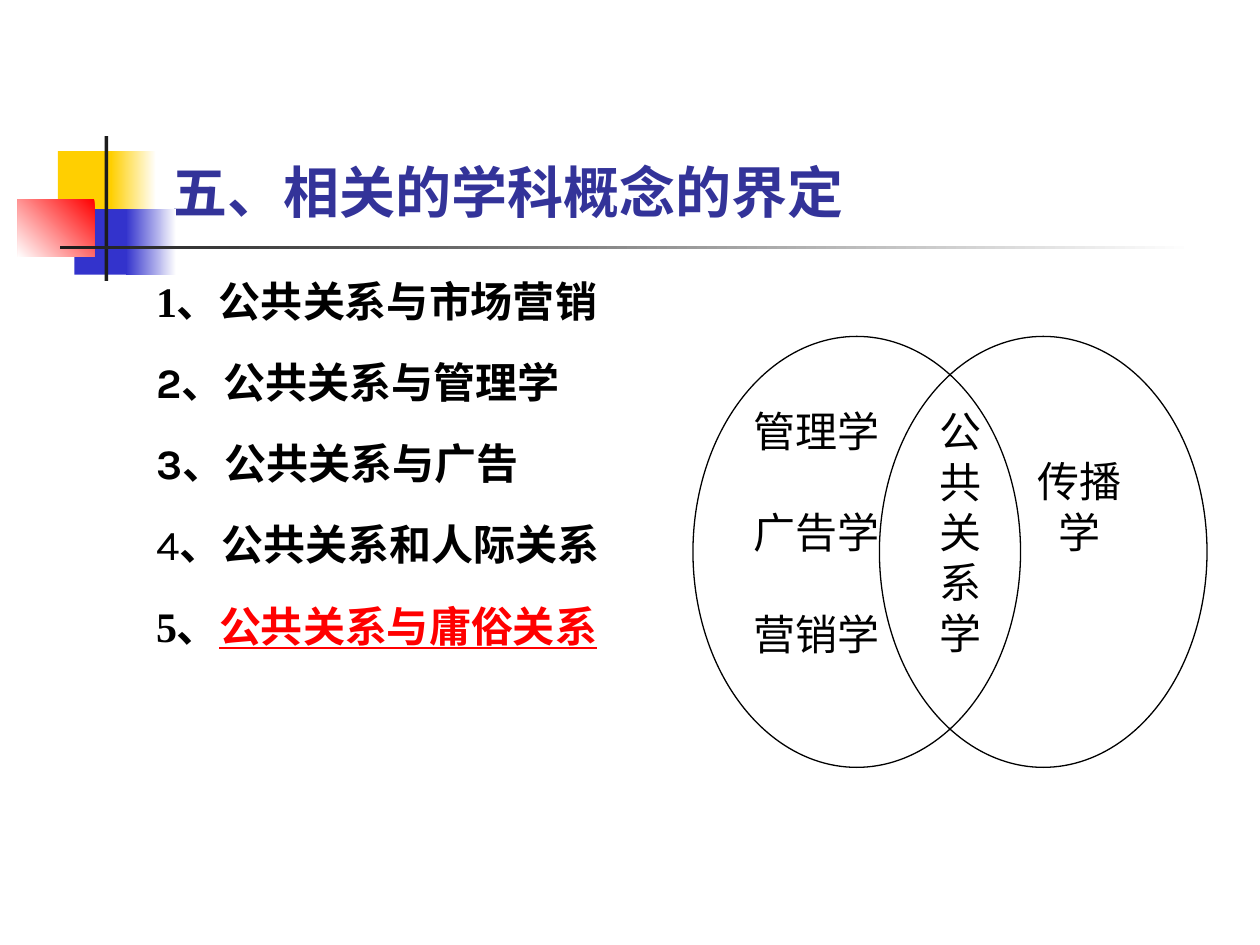
import pptx
import pptx.dml.color
import pptx.enum.shapes
import pptx.enum.text
import pptx.util

Inches = pptx.util.Inches
Pt = pptx.util.Pt
SHAPE = pptx.enum.shapes.MSO_SHAPE
ALIGN = pptx.enum.text.PP_ALIGN
ANCHOR = pptx.enum.text.MSO_ANCHOR
SERIF = "Times New Roman"
DIGIT = "Karla"

BLOCKS = [
    ((0.46, 1.2, 0.48, 0.52), ["FFCF01"], 0),
    ((0.88, 1.2, 0.36, 0.52), ["FFFFFF", "FFCF01"], 180),
    ((0.59, 1.66, 0.46, 0.52), ["3333CC"], 0),
    ((1, 1.66, 0.4, 0.52), ["FFFFFF", "3333CC"], 180),
    ((0.14, 1.58, 0.61, 0.46), ["FF0000", "FFFFFF"], 225),
    ((0.83, 1.08, 0.03, 1.15), ["1C1C1C"], 0),
    ((0.48, 1.95, 9, 0.03), ["FFFFFF", "1C1C1C"], 180),
]

TOPICS = [
    [("1、公共关系与市场营销", {})],
    [("2", {"font": DIGIT}), ("、公共关系与管理学", {})],
    [("3", {"font": DIGIT}), ("、公共关系与广告", {})],
    [("4", {"font": DIGIT, "bold": False}), ("、公共关系和人际关系", {})],
    [("5、", {}), ("公共关系与庸俗关系", {"color": "FF0000", "underline": True})],
]


def rgb(value):
    """Return the colour for a hex string."""
    return pptx.dml.color.RGBColor.from_string(value)


def add_run(p, text, size=24, font=SERIF, color="000000", bold=False, underline=None):
    """Add formatted text to a paragraph."""
    r = p.add_run()
    r.text = text
    r.font.size = Pt(size)
    r.font.name = font
    r.font.bold = bold
    r.font.underline = underline
    r.font.color.rgb = rgb(color)


def next_paragraph(tf, i, align, gap=0):
    """Return paragraph i of a frame, spaced from the one before it."""
    p = tf.add_paragraph() if i else tf.paragraphs[0]
    p.alignment = align
    p.space_before = Pt(gap if i else 0)
    return p


def add_lines(tf, lines, align=ALIGN.JUSTIFY, gap=0):
    """Write plain lines from the top of a frame."""
    tf.word_wrap = True
    tf.vertical_anchor = ANCHOR.TOP
    for i, line in enumerate(lines):
        add_run(next_paragraph(tf, i, align, gap), line)


def add_block(s, box, colors, angle):
    """Add a borderless rectangle with a solid or gradient fill."""
    sp = s.shapes.add_shape(SHAPE.RECTANGLE, *map(Inches, box))
    sp.shadow.inherit = False
    sp.line.fill.background()
    if len(colors) == 1:
        sp.fill.solid()
        sp.fill.fore_color.rgb = rgb(colors[0])
        return
    sp.fill.gradient()
    sp.fill.gradient_angle = angle
    for stop, color in zip(sp.fill.gradient_stops, colors):
        stop.color.rgb = rgb(color)


def add_title(s, text):
    """Place and fill the title placeholder."""
    sp = s.shapes.title
    sp.left, sp.top, sp.width, sp.height = map(Inches, (1.26, 0.23, 8.52, 1.6))
    tf = sp.text_frame
    tf.auto_size = pptx.enum.text.MSO_AUTO_SIZE.NONE
    tf.vertical_anchor = ANCHOR.BOTTOM
    p = next_paragraph(tf, 0, ALIGN.LEFT)
    add_run(p, text, size=32, color="333399", bold=True)


def add_topics(s, topics):
    """Add the numbered topics with a hanging indent."""
    tf = s.shapes.add_textbox(*map(Inches, (1.14, 1.98, 3.77, 4.92))).text_frame
    tf.word_wrap = True
    for i, runs in enumerate(topics):
        p = next_paragraph(tf, i, ALIGN.JUSTIFY, gap=6)
        p.line_spacing = 1.4
        pPr = p._p.get_or_add_pPr()
        pPr.set("marL", str(Inches(0.38)))
        pPr.set("indent", str(-Inches(0.38)))
        for text, style in runs:
            add_run(p, text, **{"bold": True, **style})


def add_circle(s, left, lines, fill=None, gap=0):
    """Add one outlined ellipse of the Venn diagram."""
    sp = s.shapes.add_shape(SHAPE.OVAL, *map(Inches, (left, 2.67, 2.6, 3.42)))
    sp.shadow.inherit = False
    if fill:
        sp.fill.solid()
        sp.fill.fore_color.rgb = rgb(fill)
    else:
        sp.fill.background()
    sp.line.color.rgb = rgb("000000")
    sp.line.width = Pt(0.75)
    add_lines(sp.text_frame, lines, gap=gap)


def main():
    """Build the slide and save it."""
    prs = pptx.Presentation()
    prs.slide_width, prs.slide_height = Inches(10), Inches(7.5)
    s = prs.slides.add_slide(prs.slide_layouts[5])
    for box, colors, angle in BLOCKS:
        add_block(s, box, colors, angle)
    add_title(s, "五、相关的学科概念的界定")
    add_topics(s, TOPICS)
    add_circle(s, 6.98, "公共关系学", fill="FFFFFF")
    add_circle(s, 5.5, ["管理学", "广告学", "营销学"], gap=29)
    label = s.shapes.add_textbox(*map(Inches, (8.07, 3.57, 1, 0.9)))
    add_lines(label.text_frame, ["传播", "学"], align=ALIGN.CENTER)
    prs.save("out.pptx")


if __name__ == "__main__":
    main()
